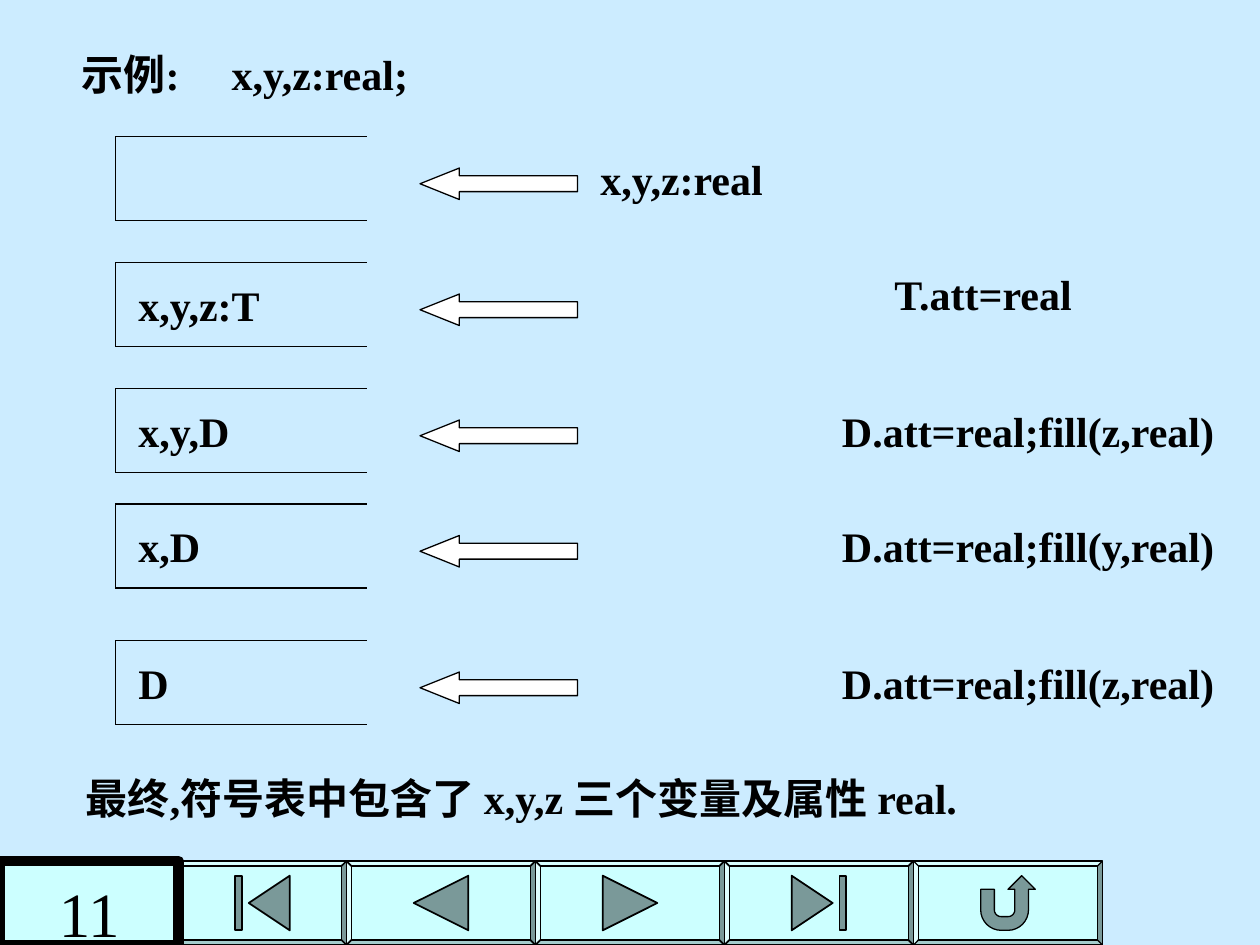
from dataclasses import dataclass
from math import cos, radians, sin

from lxml.etree import SubElement
from pptx import Presentation
from pptx.dml.color import RGBColor
from pptx.enum.shapes import MSO_CONNECTOR, MSO_SHAPE
from pptx.enum.text import MSO_ANCHOR, PP_ALIGN
from pptx.oxml.ns import qn
from pptx.util import Inches, Pt


@dataclass(frozen=True)
class Theme:
    background: RGBColor = RGBColor(0xCC, 0xEC, 0xFF)
    button: RGBColor = RGBColor(0xCC, 0xFF, 0xFF)
    icon: RGBColor = RGBColor(0x7A, 0x99, 0x99)
    arrow: RGBColor = RGBColor(0xFF, 0xFF, 0xFF)
    ink: RGBColor = RGBColor(0, 0, 0)
    font: str = "Times New Roman"
    body_size: float = 24
    number_size: float = 36
    thin: float = 0.75
    button_line: float = 1
    frame: float = 6


THEME = Theme()

# Rows of the parse stack: top, stack content, incoming text, its left and width
STACK_ROWS = [
    (13, "", "x,y,z:real", 56, 18.2),
    (25, "x,y,z:T", "T.att=real", 84, 19.7),
    (37, "x,y,D", "D.att=real;fill(z,real)", 79, 38),
    (48, "x,D", "D.att=real;fill(y,real)", 79, 38.3),
    (61, "D", "D.att=real;fill(z,real)", 79, 38),
]
CONTENT_WIDTHS = {"x,y,z:T": 14.3, "x,y,D": 11.4, "x,D": 8.4, "D": 5.4}


def grid(units):
    """Length of grid units, twelve to the inch."""
    return Inches(units / 12)


def paint(shape, fill, width):
    shape.shadow.inherit = False
    shape.fill.solid()
    shape.fill.fore_color.rgb = fill
    shape.line.color.rgb = THEME.ink
    shape.line.width = Pt(width)


def style(paragraph, size, bold):
    font = paragraph.font
    font.name, font.size, font.bold = THEME.font, Pt(size), bold
    font.color.rgb = THEME.ink


def add_label(slide, text, left, top, width, tab=None):
    frame = slide.shapes.add_textbox(grid(left), grid(top), grid(width), grid(6)).text_frame
    frame.word_wrap = False
    frame.vertical_anchor = MSO_ANCHOR.BOTTOM
    paragraph = frame.paragraphs[0]
    paragraph.text = text
    if tab:
        tabs = SubElement(paragraph._p.get_or_add_pPr(), qn("a:tabLst"))
        SubElement(tabs, qn("a:tab"), pos=str(Inches(tab)), algn="l")
    style(paragraph, THEME.body_size, True)


def add_line(slide, *ends):
    line = slide.shapes.add_connector(MSO_CONNECTOR.STRAIGHT, *map(grid, ends))
    line.line.color.rgb = THEME.ink
    line.line.width = Pt(THEME.thin)
    SubElement(line._element.spPr, qn("a:effectLst"))


def add_stack(slide, left, top, width, height):
    """Box that is open on the right."""
    right, bottom = left + width, top + height
    add_line(slide, left, top, right, top)
    add_line(slide, left, top, left, bottom)
    add_line(slide, left, bottom, right, bottom)


def add_stack_row(slide, left, row):
    top, content, incoming, incoming_left, incoming_width = row
    add_stack(slide, left, top, 24, 8)
    if content:
        add_label(slide, content, left + 1, top + 1, CONTENT_WIDTHS[content])
    arrow = slide.shapes.add_shape(
        MSO_SHAPE.LEFT_ARROW, grid(left + 29), grid(top + 3), grid(15), grid(3))
    arrow.adjustments[0], arrow.adjustments[1] = 0.5, 1.25
    paint(arrow, THEME.arrow, THEME.thin)
    incoming_top = top if incoming.startswith("T") else top + 1
    add_label(slide, incoming, incoming_left, incoming_top, incoming_width)


def arc(x, y, radius, start, end):
    """Points on an arc, with angles in degrees running clockwise."""
    angles = [radians(start + (end - start) * step / 8) for step in range(9)]
    return [(x + radius * cos(angle), y + radius * sin(angle)) for angle in angles]


def mirror(outlines):
    return [[(-x, y) for x, y in outline] for outline in outlines]


# Icon outlines, from -1 to 1 around the middle of a button
BACK = [[(-1, 0), (1, -1), (1, 1)]]
FIRST = [[(-0.5, 0), (1, -1), (1, 1)],
         [(-1, -1), (-0.75, -1), (-0.75, 1), (-1, 1)]]
RETURN = [[
    (-1, -0.5), (-0.5, -0.5),
    *arc(-0.25, 0.25, 0.25, 180, 90), *arc(0, 0.25, 0.25, 90, 0),
    (0.25, -0.5), (0, -0.5), (0.5, -1), (1, -0.5), (0.75, -0.5),
    *arc(0, 0.25, 0.75, 0, 90), *arc(-0.25, 0.25, 0.75, 90, 180),
]]


def add_button(slide, left, top, width, height, outlines, line_width):
    button = slide.shapes.add_shape(MSO_SHAPE.BEVEL, *map(grid, (left, top, width, height)))
    button.adjustments[0] = 0.06
    paint(button, THEME.button, line_width)
    middle_x, middle_y, reach = left + width / 2, top + height / 2, height * 0.325
    for outline in outlines:
        points = [(grid(middle_x + x * reach), grid(middle_y + y * reach)) for x, y in outline]
        builder = slide.shapes.build_freeform(*points[0])
        builder.add_line_segments(points[1:], close=True)
        paint(builder.convert_to_shape(), THEME.icon, line_width)


def add_page_number(slide, number, left, top, width, height):
    box = slide.shapes.add_shape(MSO_SHAPE.RECTANGLE, *map(grid, (left, top, width, height)))
    paint(box, THEME.button, THEME.frame)
    frame = box.text_frame
    frame.vertical_anchor = MSO_ANCHOR.TOP
    frame.margin_top = Inches(0.11)
    paragraph = frame.paragraphs[0]
    paragraph.text = number
    paragraph.alignment = PP_ALIGN.CENTER
    style(paragraph, THEME.number_size, False)


def add_navigation(slide, top, height):
    number_width, left = 17, 17
    buttons = [(16, FIRST), (18, BACK), (18, mirror(BACK)), (18, mirror(FIRST)), (18, RETURN)]
    for width, outlines in buttons:
        line_width = THEME.thin if outlines is RETURN else THEME.button_line
        add_button(slide, left, top, width, height, outlines, line_width)
        left += width
    add_page_number(slide, "11", 0, top, number_width, height)


def main():
    presentation = Presentation()
    presentation.slide_width, presentation.slide_height = Inches(10), Inches(7.5)
    slide = presentation.slides.add_slide(presentation.slide_layouts[6])
    slide.background.fill.solid()
    slide.background.fill.fore_color.rgb = THEME.background

    add_label(slide, "示例:\tx,y,z:real;", 6.6, 4, 33.8, tab=1.19)
    for row in STACK_ROWS:
        add_stack_row(slide, 11, row)
    add_label(slide, "最终,符号表中包含了 x,y,z 三个变量及属性 real.", 7, 73, 92.6)
    add_navigation(slide, 82, 8)
    presentation.save("out.pptx")


if __name__ == "__main__":
    main()
